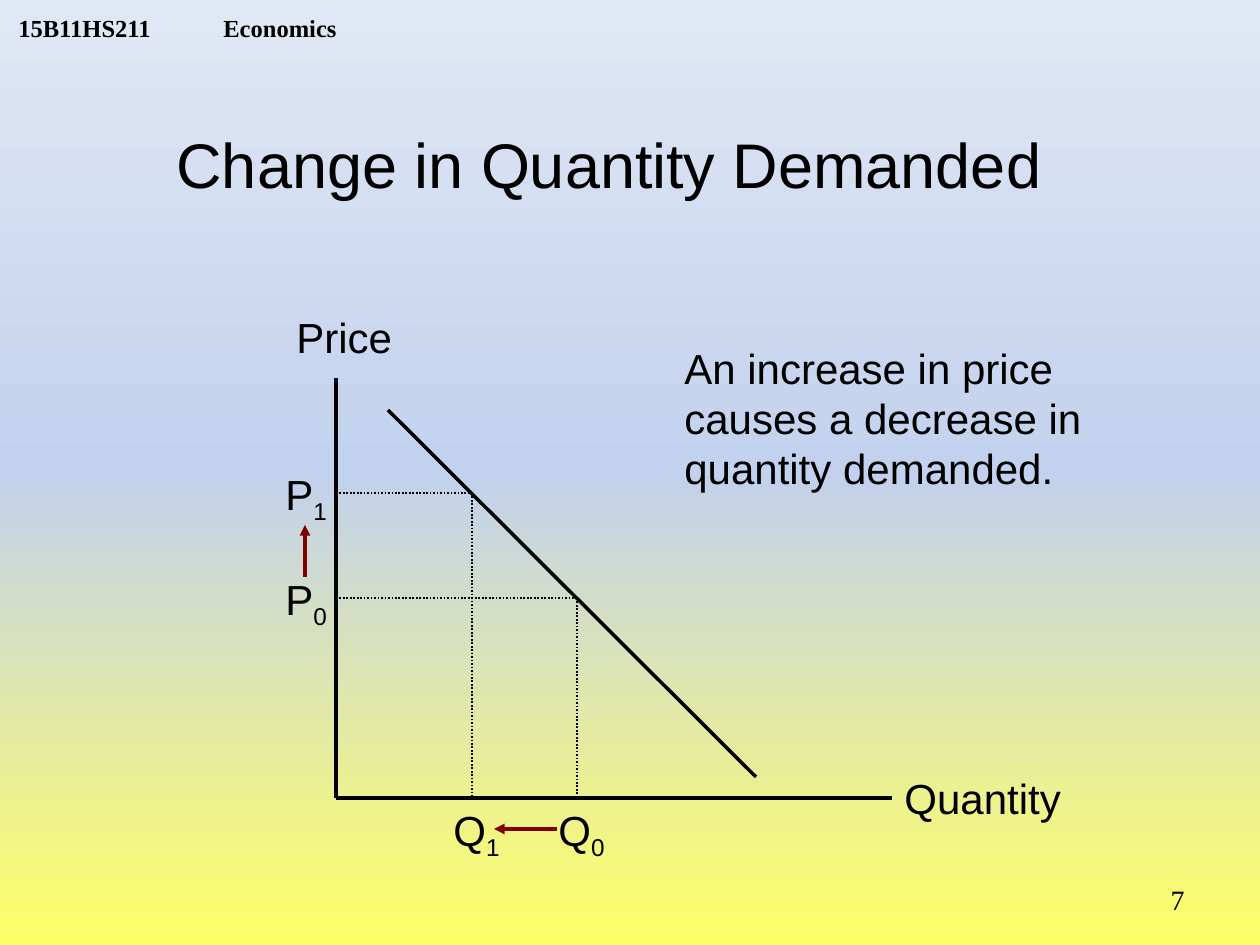
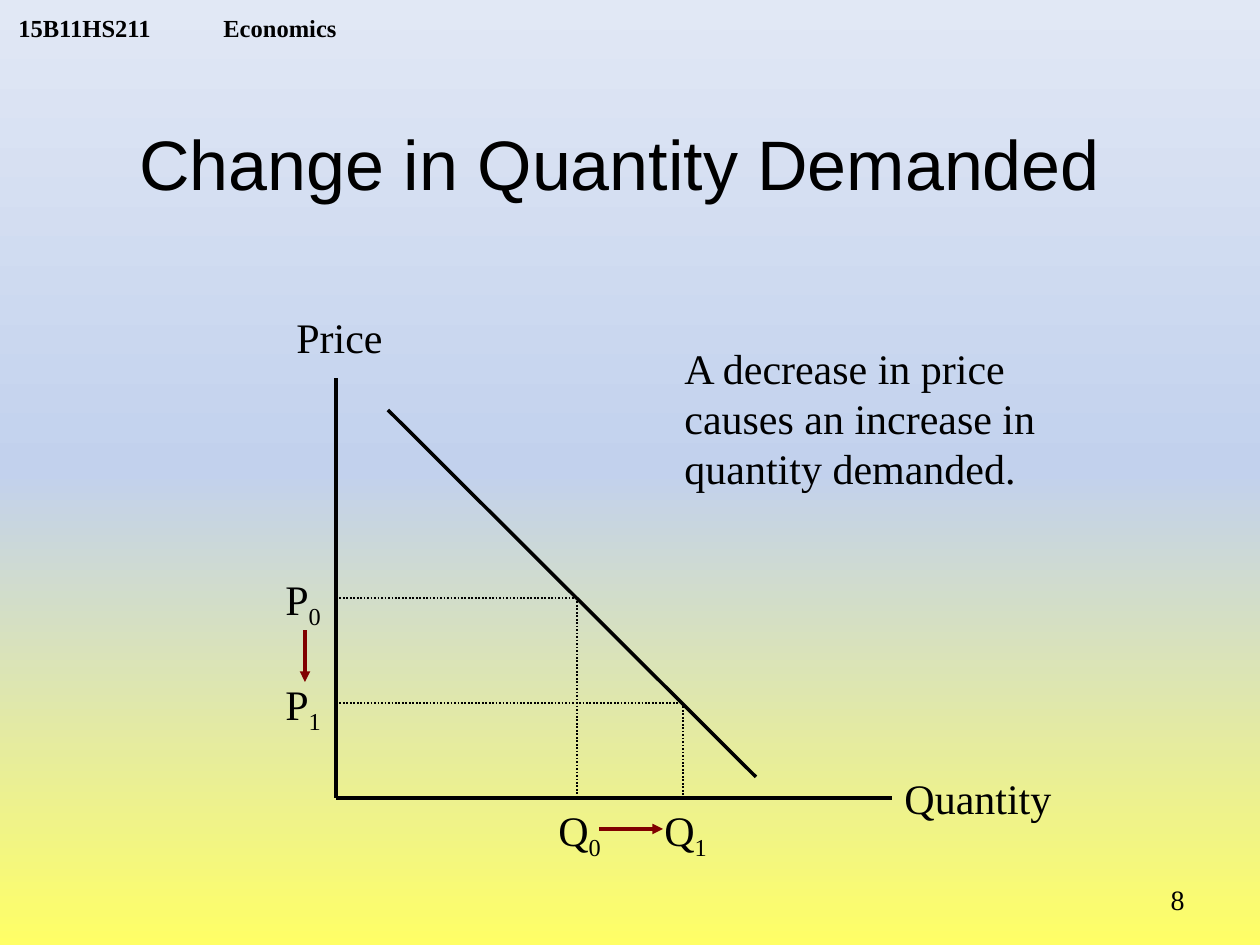
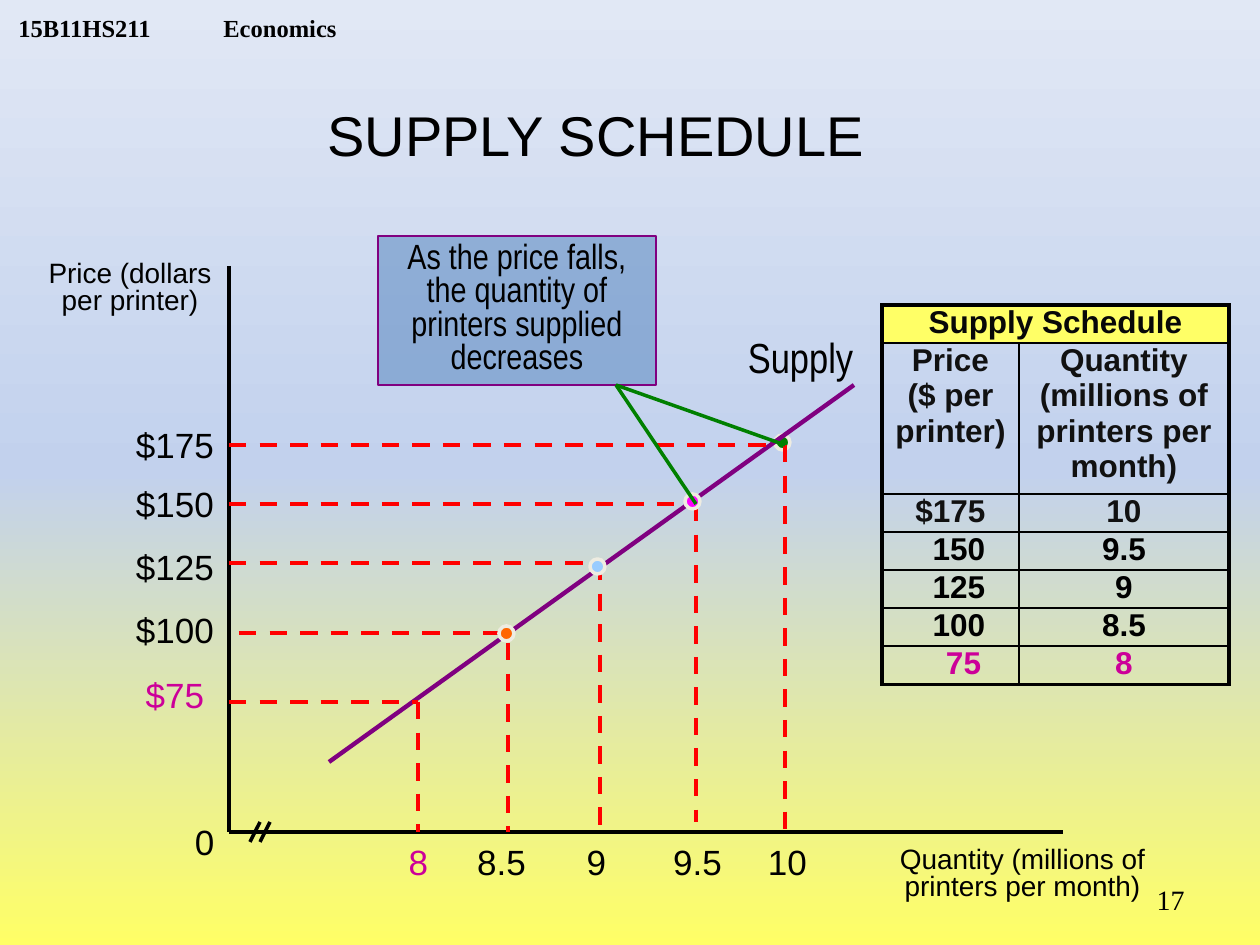
from dataclasses import dataclass
from typing import NamedTuple, Optional

import pptx
import pptx.dml.color
import pptx.enum.dml
import pptx.enum.shapes
import pptx.enum.text
import pptx.oxml
import pptx.oxml.ns
import pptx.util
from lxml import etree

EMU_PER_PX = 914400 / 126
ALIGN = pptx.enum.text.PP_ALIGN
ANCHOR = pptx.enum.text.MSO_ANCHOR
AUTO_SIZE = pptx.enum.text.MSO_AUTO_SIZE
DASH = pptx.enum.dml.MSO_LINE
SHAPE = pptx.enum.shapes.MSO_SHAPE
qn = pptx.oxml.ns.qn


@dataclass(frozen=True)
class Theme:
    sans: str = "Arial"
    narrow: str = "Arial Narrow"
    serif: str = "Times New Roman"
    black: str = "000000"
    table_title: str = "080808"
    table_head: str = "111111"
    highlight: str = "CC0099"
    arrow: str = "800000"
    guide: str = "FF0000"
    supply: str = "800080"
    callout: str = "008000"
    callout_fill: str = "4F81BD"
    dot_edge: str = "EEECE1"
    table_band: str = "FFFF66"
    background: tuple = ((0, "FFFF66"), (50, "C2D1ED"), (100, "E1E8F5"))
    header_size: int = 14
    small_size: int = 16
    table_size: int = 18
    value_size: int = 20
    label_size: int = 24


THEME = Theme()


class SupplyPoint(NamedTuple):
    price: str
    quantity: str
    price_top: int
    quantity_left: int
    across: tuple  # left, right and height of the price guide
    down: tuple  # position, top and bottom of the quantity guide
    dot: Optional[tuple] = None
    dot_color: str = ""
    color: str = THEME.black


SUPPLY_POINTS = [
    SupplyPoint("$175", "10", 425, 743, (229, 775, 445), (785, 445, 832), (775, 435), "008000"),
    SupplyPoint("$150", "9.5", 484, 653, (229, 696, 504), (696, 504, 822), (685, 494), "FF00FF"),
    SupplyPoint("$125", "9", 547, 552, (229, 596, 563), (600, 563, 832), (590, 559), "99CCFF"),
    SupplyPoint("$100", "8.5", 610, 457, (239, 508, 633), (508, 643, 832), (499, 626), "FF6600"),
    SupplyPoint("$75", "8", 675, 374, (229, 418, 702), (418, 702, 832),
                color=THEME.highlight),
]


# Basic helpers
def px(length):
    return pptx.util.Emu(round(length * EMU_PER_PX))


def rgb(color):
    return pptx.dml.color.RGBColor.from_string(color)


def set_values(target, values):
    for name, value in values.items():
        setattr(target, name, value)


def write(frame, texts, size, font=THEME.sans, color=THEME.black, bold=False,
          align=None, spacing=None, tab=None):
    """Write one paragraph; every text after the first is a subscript."""
    paragraph = frame.paragraphs[0]
    if tab:
        properties = paragraph._p.get_or_add_pPr()
        tabs = etree.SubElement(properties, qn("a:tabLst"))
        etree.SubElement(tabs, qn("a:tab"), pos=str(px(tab)), algn="l")
    set_values(paragraph, {"alignment": align, "line_spacing": spacing})
    for index, text in enumerate(texts):
        run = paragraph.add_run()
        run.text = text
        set_values(run.font, {"name": font, "size": pptx.util.Pt(size), "bold": bold})
        run.font.color.rgb = rgb(color)
        if index:
            run._r.get_or_add_rPr().set("baseline", "-25000")


def add_text(slide, box, *texts, size=THEME.label_size, wrap=True, grow=True, **style):
    shape = slide.shapes.add_textbox(*map(px, box))
    set_values(shape.text_frame, {
        "word_wrap": wrap,
        "auto_size": AUTO_SIZE.SHAPE_TO_FIT_TEXT if grow else AUTO_SIZE.NONE,
    })
    write(shape.text_frame, texts, size, **style)
    return shape


def add_chart_label(slide, box, text, size=THEME.value_size, **style):
    add_text(slide, box, text, size=size, align=ALIGN.CENTER, spacing=0.8, **style)


def add_line(slide, start, end, color=THEME.black, width=2, dash=None, arrow=False):
    line = slide.shapes.add_connector(
        pptx.enum.shapes.MSO_CONNECTOR.STRAIGHT, *map(px, start + end))
    line.line.color.rgb = rgb(color)
    set_values(line.line, {"width": pptx.util.Pt(width), "dash_style": dash})
    properties = line.element.spPr
    if arrow:
        etree.SubElement(properties.find(qn("a:ln")), qn("a:tailEnd"), type="triangle")
    etree.SubElement(properties, qn("a:effectLst"))


def add_filled_shape(slide, kind, box, fill, edge, width):
    shape = slide.shapes.add_shape(kind, *map(px, box))
    shape.shadow.inherit = False
    shape.fill.solid()
    shape.fill.fore_color.rgb = rgb(fill)
    shape.line.color.rgb = rgb(edge)
    shape.line.width = pptx.util.Pt(width)
    return shape


# Parts shared by all slides
def set_background(master):
    master.background.fill.gradient()
    gradient = master.element.find(".//" + qn("p:bgPr") + "/" + qn("a:gradFill"))
    stops = "".join(
        f'<a:gs pos="{position * 1000}"><a:srgbClr val="{color}"/></a:gs>'
        for position, color in THEME.background)
    gradient.getparent().replace(gradient, pptx.oxml.parse_xml(
        f'<a:gradFill {pptx.oxml.ns.nsdecls("a")} rotWithShape="1">'
        f'<a:gsLst>{stops}</a:gsLst><a:lin ang="16200000" scaled="0"/></a:gradFill>'))


def add_master_header(master, slide):
    header = add_text(slide, (6, 0, 403, 42), "15B11HS211\tEconomics",
                      size=THEME.header_size, font=THEME.serif, bold=True,
                      grow=False, tab=205)
    set_values(header.text_frame, {
        "vertical_anchor": ANCHOR.BOTTOM, "margin_top": 0, "margin_bottom": 0})
    master.shapes.element.append(header.element)


def add_slide(presentation, title, title_box, title_size, number):
    slide = presentation.slides.add_slide(presentation.slide_layouts[5])
    placeholder = slide.shapes.title
    set_values(placeholder, dict(zip(("left", "top", "width", "height"), map(px, title_box))))
    set_values(placeholder.text_frame, {
        "word_wrap": True, "auto_size": AUTO_SIZE.NONE, "vertical_anchor": ANCHOR.MIDDLE})
    write(placeholder.text_frame, [title], title_size, align=ALIGN.CENTER)
    add_text(slide, (903, 876, 294, 50), number, size=THEME.small_size,
             font=THEME.serif, align=ALIGN.RIGHT, grow=False)
    return slide


# Demand diagrams
def arrow_span(old, new, after, before):
    low, high = min(old, new) + after, max(old, new) - before
    return (low, high) if old < new else (high, low)


def add_demand_diagram(slide, font, widths, new_point, message, message_width):
    axis_x, base_y = 336, 798
    old_point = (577, 598)
    price_width, quantity_width, p_width, q_width = widths

    add_line(slide, (axis_x, 378), (axis_x, base_y))
    add_line(slide, (892, base_y), (axis_x, base_y))
    add_text(slide, (892, 766, quantity_width, 63), "Quantity", font=font, wrap=False)
    add_text(slide, (284, 305, price_width, 63), "Price", font=font, wrap=False)
    add_line(slide, (388, 410), (756, 777))

    for index, (x, y) in enumerate((old_point, new_point)):
        add_line(slide, (axis_x, y), (x, y), width=1, dash=DASH.ROUND_DOT)
        add_line(slide, (x, y), (x, base_y), width=1, dash=DASH.ROUND_DOT)
        add_text(slide, (273, y - 31, p_width, 63), "P", str(index), font=font, wrap=False)
        add_text(slide, (x - 31, base_y, q_width, 63), "Q", str(index), font=font, wrap=False)

    start_x, end_x = arrow_span(old_point[0], new_point[0], 22, 20)
    start_y, end_y = arrow_span(old_point[1], new_point[1], 32, 21)
    add_line(slide, (305, start_y), (305, end_y), THEME.arrow, arrow=True)
    add_line(slide, (start_x, 829), (end_x, 829), THEME.arrow, arrow=True)
    add_text(slide, (672, 336, message_width, 165), message, font=font)


# Supply diagram
def add_supply_axes(slide):
    add_line(slide, (229, 266), (229, 832), width=2.5)
    add_line(slide, (229, 832), (1063, 832), width=2.5)
    for x in (250, 260):
        add_line(slide, (x + 10, 822), (x, 842))
    add_chart_label(slide, (21, 256, 218, 67), "Price (dollars per printer)",
                    size=THEME.small_size)
    add_chart_label(slide, (874, 842, 297, 67), "Quantity (millions of printers per month)",
                    size=THEME.small_size)
    add_chart_label(slide, (180, 822, 49, 47), "0")


def add_dot(slide, point):
    add_filled_shape(slide, SHAPE.OVAL, (*point.dot, 15, 15),
                     point.dot_color, THEME.dot_edge, 2)


def add_supply_point(slide, point):
    left, right, y = point.across
    x, top, bottom = point.down
    guide = {"color": THEME.guide, "width": 2.5, "dash": DASH.DASH}
    add_line(slide, (left, y), (right, y), **guide)
    add_line(slide, (x, top), (x, bottom), **guide)
    add_chart_label(slide, (120, point.price_top, 110, 47), point.price, color=point.color)
    add_chart_label(slide, (point.quantity_left, 842, 89, 47), point.quantity,
                    color=point.color)


def add_callout(slide):
    box = add_filled_shape(slide, SHAPE.RECTANGLE, (378, 236, 278, 149),
                           THEME.callout_fill, THEME.supply, 0.75)
    color = box.element.spPr.find(qn("a:solidFill"))[0]
    etree.SubElement(color, qn("a:alpha"), val="50000")
    set_values(box.text_frame, {
        "word_wrap": True, "auto_size": AUTO_SIZE.SHAPE_TO_FIT_TEXT,
        "vertical_anchor": ANCHOR.TOP})
    write(box.text_frame,
          ["As the price falls, the quantity of printers supplied decreases"],
          THEME.value_size, font=THEME.narrow, align=ALIGN.CENTER, spacing=0.8)
    for target in ((696, 504), (785, 445)):
        add_line(slide, (616, 385), target, THEME.callout)


def set_borders(cell, widths):
    properties = cell._tc.get_or_add_tcPr()
    for side, width in widths.items():
        line = etree.SubElement(properties, qn("a:ln" + side), w=str(pptx.util.Pt(width)))
        fill = etree.SubElement(line, qn("a:solidFill"))
        etree.SubElement(fill, qn("a:srgbClr"), val=THEME.black)


def add_supply_table(slide):
    # Each row: price, quantity, colour, extra indent of the price
    rows = [
        ("Supply Schedule", "", THEME.table_title, 0),
        ("Price ($ per printer)", "Quantity (millions of printers per month)",
         THEME.table_head, 0),
        ("$175", "10", THEME.table_head, 0),
        ("150", "9.5", THEME.black, 17),
        ("125", "9", THEME.black, 17),
        ("100", "8.5", THEME.black, 17),
        ("75", "8", THEME.highlight, 26),
    ]
    table = slide.shapes.add_table(len(rows), 2, *map(px, (882, 305, 347, 379))).table
    set_values(table, {"first_row": False, "horz_banding": False})
    for column, width in zip(table.columns, (137, 210)):
        column.width = px(width)
    table.cell(0, 0).merge(table.cell(0, 1))

    last = len(rows) - 1
    for row, (price, quantity, color, indent) in enumerate(rows):
        table.rows[row].height = px(151 if row == 1 else 38)
        for column, text in enumerate((price, quantity)):
            cell = table.cell(row, column)
            set_borders(cell, {
                "L": 2.25 if column == 0 else 1,
                "R": 2.25 if column == 1 or row == 0 else 1,
                "T": 2.25 if row == 0 else 1,
                "B": 2.25 if row == last else 1,
            })
            if row == 0:
                cell.fill.solid()
                cell.fill.fore_color.rgb = rgb(THEME.table_band)
            else:
                cell.fill.background()
            set_values(cell, {
                "margin_left": px(13 + (indent if column == 0 else 0)),
                "margin_right": px(13), "margin_top": 0, "margin_bottom": 0})
            if text:
                write(cell.text_frame, [text], THEME.table_size, color=color,
                      bold=True, align=ALIGN.CENTER)


def add_supply_diagram(slide):
    add_supply_axes(slide)
    add_dot(slide, SUPPLY_POINTS[0])
    add_supply_table(slide)
    add_line(slide, (329, 762), (854, 385), THEME.supply, 2.5)
    add_chart_label(slide, (716, 335, 169, 53), "Supply",
                    size=THEME.label_size, font=THEME.narrow)
    for point in SUPPLY_POINTS:
        add_supply_point(slide, point)
    for point in SUPPLY_POINTS[1:-1]:
        add_dot(slide, point)
    add_callout(slide)


def main():
    presentation = pptx.Presentation()
    set_values(presentation, {"slide_width": px(1260), "slide_height": px(945)})
    master = presentation.slide_master
    set_background(master)

    # Price rises
    slide = add_slide(presentation, "Change in Quantity Demanded", (42, 84, 1134, 158), 36, "7")
    add_master_header(master, slide)
    add_demand_diagram(slide, THEME.sans, (122, 184, 69, 74), (472, 493),
                       "An increase in price causes a decrease in quantity demanded.", 494)

    # Price falls
    slide = add_slide(presentation, "Change in Quantity Demanded", (84, 84, 1071, 158), 40, "8")
    add_demand_diagram(slide, THEME.serif, (112, 173, 63, 69), (683, 703),
                       "A decrease in price causes an increase in quantity demanded.", 462)

    # Supply schedule
    slide = add_slide(presentation, "SUPPLY SCHEDULE", (29, 69, 1134, 130), 32, "17")
    add_supply_diagram(slide)

    presentation.save("out.pptx")


if __name__ == "__main__":
    main()
